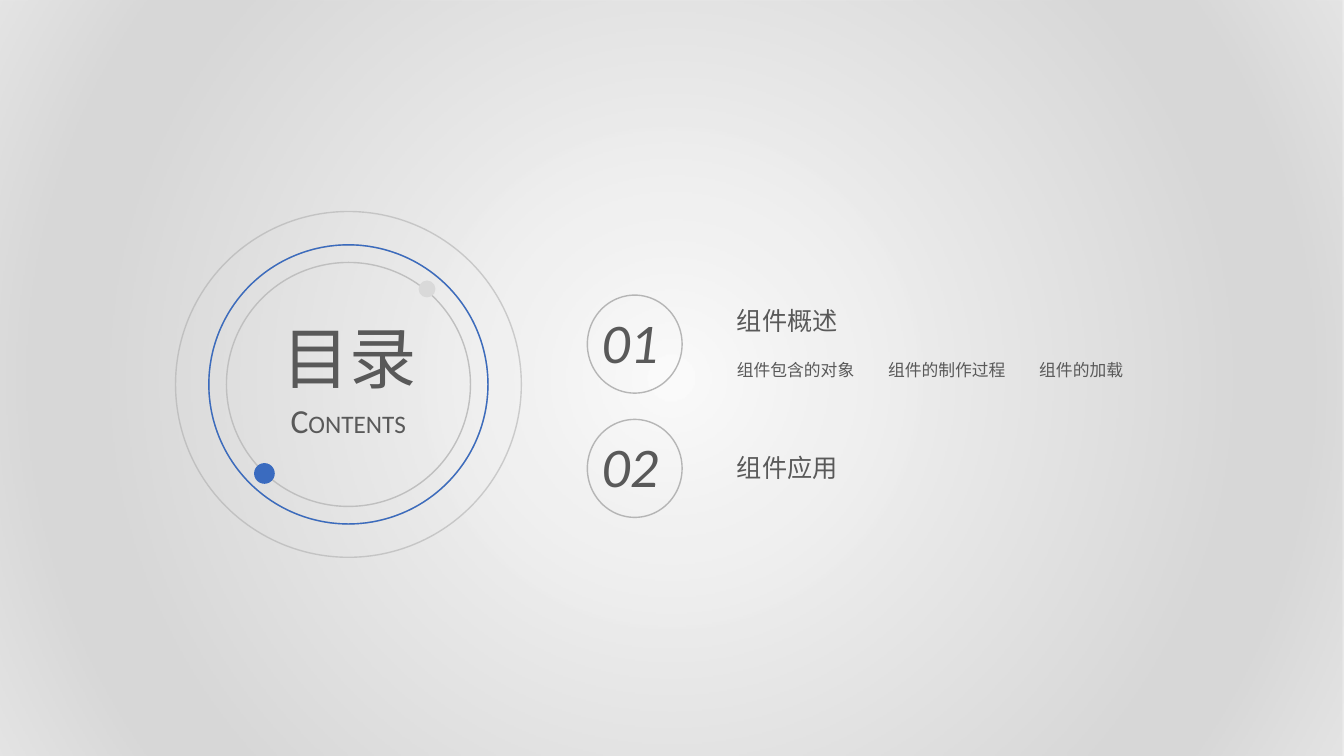
"""Build a contents slide with a ringed title and two numbered topics."""
from lxml import etree
from pptx import Presentation
from pptx.dml.color import RGBColor
from pptx.enum import shapes, text
from pptx.oxml import parse_xml
from pptx.oxml.ns import nsdecls, qn
from pptx.util import Pt

WIDE, HIGH = 960, 540
INK = RGBColor(0x59, 0x59, 0x59)
BLUE = RGBColor(0x3A, 0x6B, 0xBF)
GREY = RGBColor(0xA6, 0xA6, 0xA6)
MID = RGBColor(0xBF, 0xBF, 0xBF)
PALE = RGBColor(0xD9, 0xD9, 0xD9)
GLOW = ((0, "FAFAFA", 90), (74, "D7D7D7", 100), (83, "D7D7D7", 100), (100, "E4E4E4", 100))
LATIN, HAN = "Calibri", "Noto Sans CJK SC"


class Deck:
    """Hold the style and the current slide."""

    def __init__(self):
        self.show = Presentation()
        self.show.slide_width, self.show.slide_height = Pt(WIDE), Pt(HIGH)
        self.slide = self.show.slides.add_slide(self.show.slide_layouts.get_by_name("Comparison"))
        self.items = self.slide.shapes
        self.slots = {p.placeholder_format.idx: p for p in self.slide.placeholders}

    def shape(self, kind, x, y, w, h, fill=None, line=None, alpha=100):
        item = self.items.add_shape(kind, Pt(x), Pt(y), Pt(w), Pt(h))
        item.shadow.inherit = False
        if fill is None:
            item.fill.background()
        else:
            item.fill.solid()
            item.fill.fore_color.rgb = fill
        if line is None:
            item.line.fill.background()
        else:
            item.line.color.rgb = line
            item.line.width = Pt(1)
            if alpha < 100:
                tint = item.line._ln.find(".//" + qn("a:srgbClr"))
                etree.SubElement(tint, qn("a:alpha"), val=str(alpha * 1000))
        return item

    def oval(self, x, y, w, h, **look):
        """Draw an ellipse around the centre x, y."""
        return self.shape(shapes.MSO_SHAPE.OVAL, x - w / 2, y - h / 2, w, h, **look)

    def glow(self):
        """Lay a round gradient behind everything."""
        back = self.shape(shapes.MSO_SHAPE.RECTANGLE, 0, 0, WIDE, HIGH)
        stops = "".join(
            f'<a:gs pos="{pos * 1000}"><a:srgbClr val="{tone}">'
            f'<a:alpha val="{alpha * 1000}"/></a:srgbClr></a:gs>'
            for pos, tone, alpha in GLOW)
        grad = parse_xml(
            f'<a:gradFill {nsdecls("a")} rotWithShape="1"><a:gsLst>{stops}</a:gsLst>'
            '<a:path path="circle"><a:fillToRect l="50000" t="50000" r="50000" b="50000"/>'
            '</a:path></a:gradFill>')
        props = back._element.spPr
        props.replace(props.find(qn("a:noFill")), grad)
        self.items._spTree.insert(2, back._element)

    def text(self, runs, x, y, w, h, slot=None, font=LATIN, italic=False,
             align=text.PP_ALIGN.LEFT, space=1.0, wrap=True, tabs=()):
        """Write (words, size) runs in a placeholder or a new text box."""
        if slot is None:
            box = self.items.add_textbox(Pt(x), Pt(y), Pt(w), Pt(h))
        else:
            box = self.slots[slot]
            box.left, box.top, box.width, box.height = Pt(x), Pt(y), Pt(w), Pt(h)
        frame = box.text_frame
        frame.word_wrap = wrap
        frame.auto_size = text.MSO_AUTO_SIZE.SHAPE_TO_FIT_TEXT
        frame.vertical_anchor = text.MSO_ANCHOR.TOP
        para = frame.paragraphs[0]
        props = para._p.get_or_add_pPr()
        props.set("marL", "0")
        props.set("indent", "0")
        etree.SubElement(props, qn("a:buNone"))
        if tabs:
            stops = etree.SubElement(props, qn("a:tabLst"))
            for tab in tabs:
                etree.SubElement(stops, qn("a:tab"), pos=str(Pt(tab)), algn="l")
        para.alignment = align
        para.line_spacing = space
        para.space_before = Pt(0)
        for words, size in runs:
            run = para.add_run()
            run.text = words
            face = run.font
            face.name, face.size = font, Pt(size)
            face.bold, face.italic = False, italic
            face.color.rgb = INK
            etree.SubElement(run._r.get_or_add_rPr(), qn("a:ea"), typeface=HAN)
        return box

    def drop(self, slot):
        item = self.slots.pop(slot)._element
        item.getparent().remove(item)


def main():
    deck = Deck()
    deck.glow()
    mid = text.PP_ALIGN.CENTER

    rings = ((174.3, MID, 100), (199.4, GREY, 70), (199.4, BLUE, 100), (247, GREY, 50))
    for size, tone, alpha in rings:
        deck.oval(248.9, 274.6, size, size, line=tone, alpha=alpha)
    dots = [deck.oval(x, y, size, size, fill=tone) for x, y, size, tone in
            ((188.9, 338.2, 14.8, BLUE), (305, 206.4, 12.1, PALE))]
    deck.items.add_group_shape(dots)
    deck.text([("目录", 48)], 167.8, 222.5, 163.4, 65.4, slot=0, align=mid)
    deck.text([("C", 24), ("ONTENTS", 18)], 195.1, 282.2, 107.3, 36, align=mid, wrap=False)

    for row, label in enumerate(("01", "02")):
        drop = row * 88.8
        deck.text([(label, 40)], 422.6, 215.8 + drop, 64.1, 55.4, italic=True)
        deck.oval(453.4, 245.8 + drop, 67.7, 70, line=GREY, alpha=80)

    deck.text([("组件概述", 18)], 519.1, 214.6, 136, 29, slot=1, font=HAN)
    deck.text([("组件包含的对象\t组件的制作过程\t组件的加载", 12)], 519.1, 250.6, 337.7, 23,
              slot=2, font=HAN, space=1.2, tabs=(92.2, 184.4))
    deck.text([("组件应用", 18)], 519.1, 319.7, 222.5, 29, slot=3, font=HAN)
    deck.drop(4)
    deck.show.save("out.pptx")


if __name__ == "__main__":
    main()
